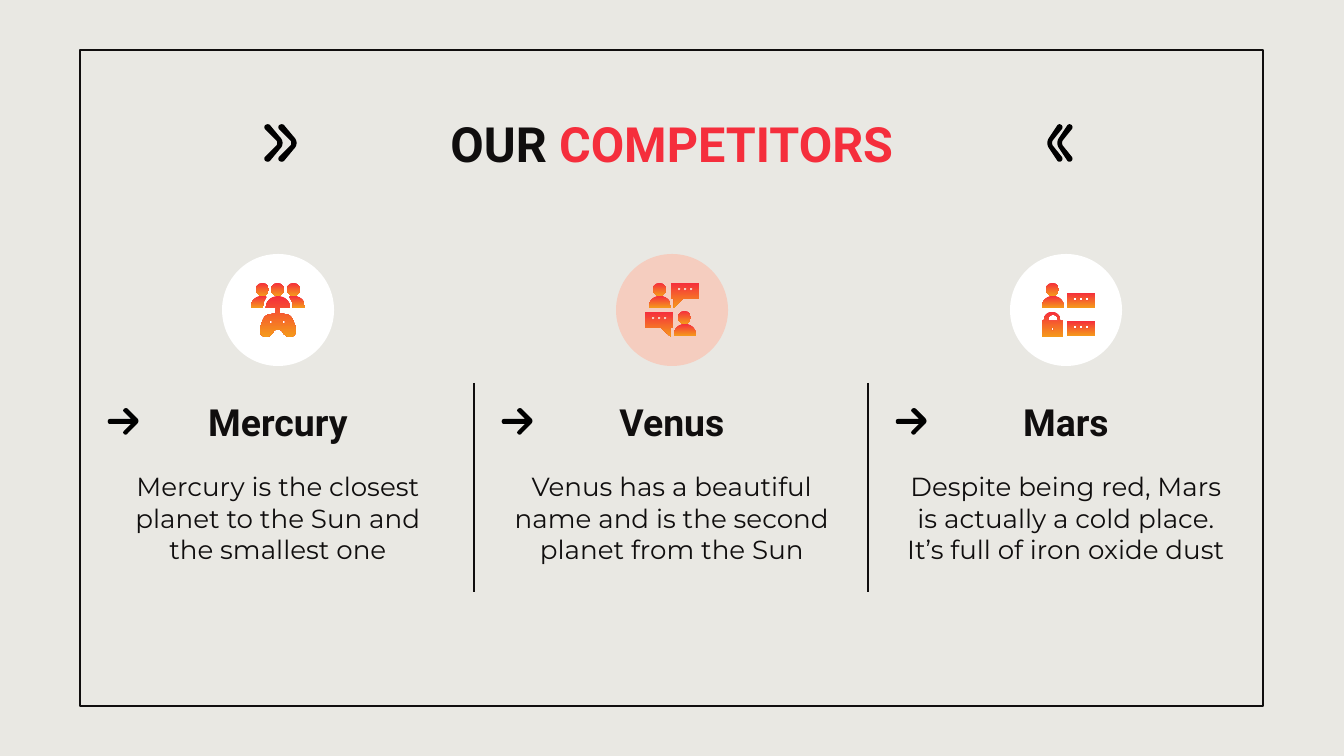
from dataclasses import dataclass

from lxml.etree import SubElement
from pptx import Presentation
from pptx.dml.color import RGBColor
from pptx.enum.shapes import MSO_CONNECTOR, MSO_SHAPE
from pptx.enum.text import MSO_ANCHOR as Anchor, MSO_AUTO_SIZE as AutoSize, PP_ALIGN as Align
from pptx.oxml.ns import qn
from pptx.util import Pt

EMU_PER_PX = 914400 / 134.4
INK, RED, ORANGE, BLACK, WHITE = "100E0E", "F52E3C", "F59A1B", "000000", "FFFFFF"
CIRCLE_SIZE, CIRCLE_TOP, ICON_MIDDLE = 112, 254, 310
COLUMN_LEFT, COLUMN_PITCH = 278, 394
HEAD_SIZE = 13

# A contour holds points (x, y) and cubic curves (x1, y1, x2, y2, x, y), in px.
Contour = list[tuple[int, ...]]


@dataclass
class Competitor:
    name: str
    text: str
    circle_color: str


COMPETITORS = [
    Competitor("Mercury", "Mercury is the closest planet to the Sun and the smallest one", WHITE),
    Competitor("Venus", "Venus has a beautiful name and is the second planet from the Sun", "F5CDBF"),
    Competitor("Mars", "Despite being red, Mars is actually a cold place. It’s full of iron oxide dust", WHITE),
]

ARROW: Contour = [
    (16, 1), (17, 0, 19, 0, 20, 1), (29, 10), (31, 12, 31, 14, 29, 16), (20, 25),
    (19, 27, 17, 27, 16, 26), (15, 25, 15, 24, 16, 23), (23, 16), (2, 16),
    (-1, 16, -1, 11, 2, 11), (23, 11), (16, 4), (15, 3, 15, 2, 16, 1)]
CHEVRON: Contour = [
    (0, 2), (-1, 0, 2, -1, 3, 0), (13, 12), (16, 15, 16, 19, 13, 22), (3, 34),
    (2, 35, -1, 34, 0, 32), (12, 20), (13, 18, 13, 16, 12, 14), (0, 2)]
BUST: Contour = [(11, 0), (5, 0, 0, 5, 0, 11), (0, 12), (22, 12), (22, 11), (22, 5, 17, 0, 11, 0)]
SIDE_BUST: Contour = [(11, 0), (5, 0, 0, 5, 0, 11), (0, 12), (12, 12), (12, 11), (12, 7, 13, 4, 16, 1),
                      (15, 0, 13, 0, 11, 0)]
PLAYER: Contour = [
    (0, -14), (-6, -14, -12, -9, -12, -3), (-12, -2), (-2, -2), (-2, 4), (-6, 4),
    (-11, 4, -14, 7, -15, 10), (-18, 18), (-19, 23, -16, 27, -12, 27), (-10, 27, -8, 26, -6, 24),
    (-4, 21), (-3, 20, -3, 20, -2, 20), (2, 20), (3, 20, 3, 20, 4, 21), (6, 24),
    (8, 26, 10, 27, 12, 27), (16, 27, 19, 23, 18, 18), (15, 10), (14, 7, 11, 4, 6, 4),
    (2, 4), (2, -2), (12, -2), (12, -3), (12, -9, 6, -14, 0, -14)]
BUTTONS: list[Contour] = [[(x, 10), (x + 2, 12), (x, 14), (x - 2, 12)] for x in (-7, 6)]
LOCK: Contour = [
    (-14, 2), (-18, 2, -22, 5, -22, 10), (-22, 11), (-24, 11), (-24, 27), (-3, 27), (-3, 11),
    (-6, 11), (-6, 10), (-6, 5, -10, 2, -14, 2)]
SHACKLE: Contour = [(-13, 5), (-10, 5, -8, 7, -8, 10), (-8, 11), (-18, 11), (-18, 10), (-18, 7, -16, 5, -13, 5)]
RIGHT_BUBBLE: Contour = [(0, 0), (0, 16), (3, 16), (3, 25), (12, 16), (28, 16), (28, 0)]
LEFT_BUBBLE: Contour = [(0, 0), (0, 16), (16, 16), (26, 25), (26, 16), (28, 16), (28, 0)]


def px(value: float) -> int:
    return round(value * EMU_PER_PX)


def color(value: str) -> RGBColor:
    return RGBColor.from_string(value)


def square(x: int, y: int, size: int = 3) -> Contour:
    return [(x, y), (x, y + size), (x + size, y + size), (x + size, y)]


def flatten(contour: Contour, steps: int = 8) -> list[tuple[float, float]]:
    points = [contour[0]]
    for item in contour[1:]:
        if len(item) == 2:
            points.append(item)
            continue
        corners = [points[-1], item[:2], item[2:4], item[4:]]
        for step in range(1, steps + 1):
            t = step / steps
            weights = ((1 - t) ** 3, 3 * t * (1 - t) ** 2, 3 * t * t * (1 - t), t ** 3)
            points.append(tuple(sum(w * c[axis] for w, c in zip(weights, corners)) for axis in (0, 1)))
    return points


def paint(shape, fill: str | None, line: str | None = None, width: float = 0.75) -> None:
    shape.shadow.inherit = False
    if fill:
        shape.fill.solid()
        shape.fill.fore_color.rgb = color(fill)
    else:
        shape.fill.background()
    if line:
        shape.line.color.rgb = color(line)
        shape.line.width = Pt(width)
    else:
        shape.line.fill.background()


def paint_gradient(shape) -> None:
    paint(shape, None)
    shape.fill.gradient()
    shape.fill.gradient_angle = 270
    for stop, value, position in zip(shape.fill.gradient_stops, (RED, ORANGE), (0, 1)):
        stop.color.rgb = color(value)
        stop.position = position


def add_outline(slide, left: int, top: int, contours: list[Contour], x_scale: float = 1):
    outlines = [[(px(left + x * x_scale), px(top + y)) for x, y in flatten(c)] for c in contours]
    builder = slide.shapes.build_freeform(*outlines[0][0], scale=1.0)
    for number, points in enumerate(outlines):
        if number:
            builder.move_to(*points[0])
        builder.add_line_segments(points[1:], close=True)
    return builder.convert_to_shape()


def add_preset(slide, kind, left: int, top: int, width: int, height: int):
    return slide.shapes.add_shape(kind, px(left), px(top), px(width), px(height))


def add_head(slide, left: int, top: int) -> None:
    paint_gradient(add_preset(slide, MSO_SHAPE.OVAL, left, top, HEAD_SIZE, HEAD_SIZE))


def add_person(slide, left: int, top: int) -> None:
    add_head(slide, left + 4, top)
    paint_gradient(add_outline(slide, left, top + HEAD_SIZE, [BUST]))


def add_message(slide, left: int, top: int, outline: Contour) -> None:
    dots = [square(x, 5) for x in (7, 13, 19)]
    paint_gradient(add_outline(slide, left, top, [outline, *dots]))


def draw_players(slide, x: int, y: int) -> None:
    for left in (-22, -7, 9):
        add_head(slide, x + left, y - 27)
    paint_gradient(add_outline(slide, x, y, [PLAYER, *BUTTONS]))
    for side in (-1, 1):
        paint_gradient(add_outline(slide, x + 27 * side, y - 14, [SIDE_BUST], -side))


def draw_conversation(slide, x: int, y: int) -> None:
    add_person(slide, x - 23, y - 27)
    add_message(slide, x - 1, y - 27, RIGHT_BUBBLE)
    add_message(slide, x - 27, y + 2, LEFT_BUBBLE)
    add_person(slide, x + 2, y + 1)


def draw_privacy(slide, x: int, y: int) -> None:
    add_person(slide, x - 24, y - 27)
    paint_gradient(add_outline(slide, x, y, [LOCK, SHACKLE, square(-15, 18)]))
    for top in (-17, 11):
        add_message(slide, x + 1, y + top, [(0, 0), (0, 15), (28, 15), (28, 0)])


def write(shape, box: tuple[int, int, int, int], runs: list[tuple[str, str]], **font_values) -> None:
    for name, value in zip(("left", "top", "width", "height"), box):
        setattr(shape, name, px(value))
    frame = shape.text_frame
    frame_values = {"word_wrap": True, "auto_size": AutoSize.NONE, "vertical_anchor": Anchor.MIDDLE}
    frame_values |= {f"margin_{side}": px(13) for side in ("left", "top", "right", "bottom")}
    for name, value in frame_values.items():
        setattr(frame, name, value)
    paragraph = frame.paragraphs[0]
    paragraph.alignment = Align.CENTER
    for text, run_color in runs:
        run = paragraph.add_run()
        run.text = text
        for name, value in font_values.items():
            setattr(run.font, name, value)
        run.font.color.rgb = color(run_color)


def add_text(slide, box: tuple[int, int, int, int], text: str, **font_values) -> None:
    write(slide.shapes.add_textbox(0, 0, 0, 0), box, [(text, INK)], **font_values)


def add_divider(slide, x: int) -> None:
    line = slide.shapes.add_connector(MSO_CONNECTOR.STRAIGHT, px(x), px(383), px(x), px(592))
    line.line.color.rgb = color(INK)
    line.line.width = Pt(0.75)
    SubElement(line._element.spPr, qn("a:effectLst"))


def main() -> None:
    presentation = Presentation()
    presentation.slide_width, presentation.slide_height = px(1344), px(756)
    slide = presentation.slides.add_slide(presentation.slide_layouts[5])
    slide.background.fill.solid()
    slide.background.fill.fore_color.rgb = color("E9E8E3")

    # Frame and title
    paint(add_preset(slide, MSO_SHAPE.RECTANGLE, 80, 50, 1183, 656), None, INK)
    write(slide.shapes.title, (296, 101, 752, 85), [("OUR ", INK), ("COMPETITORS", RED)],
          name="Roboto", size=Pt(26), bold=True)

    # Chevron pairs pointing at the title
    for left, x_scale in ((266, 1), (280, 1), (1061, -0.8), (1071, -0.8)):
        paint(add_outline(slide, left, 126, [CHEVRON], x_scale), INK, BLACK, 1.5)

    # One column per competitor
    icons = (draw_players, draw_conversation, draw_privacy)
    for number, (competitor, draw_icon) in enumerate(zip(COMPETITORS, icons)):
        center = COLUMN_LEFT + number * COLUMN_PITCH
        circle = add_preset(slide, MSO_SHAPE.OVAL, center - CIRCLE_SIZE // 2, CIRCLE_TOP, CIRCLE_SIZE, CIRCLE_SIZE)
        paint(circle, competitor.circle_color)
        draw_icon(slide, center, ICON_MIDDLE)
        paint(add_outline(slide, center - 170, 408, [ARROW]), BLACK)
        add_text(slide, (center - 128, 383, 256, 78), competitor.name, name="Roboto", size=Pt(20), bold=True)
        add_text(slide, (center - 172, 460, 344, 116), competitor.text, name="Montserrat", size=Pt(14))
        if number:
            add_divider(slide, center - COLUMN_PITCH // 2 - 1)

    presentation.save("out.pptx")


if __name__ == "__main__":
    main()
